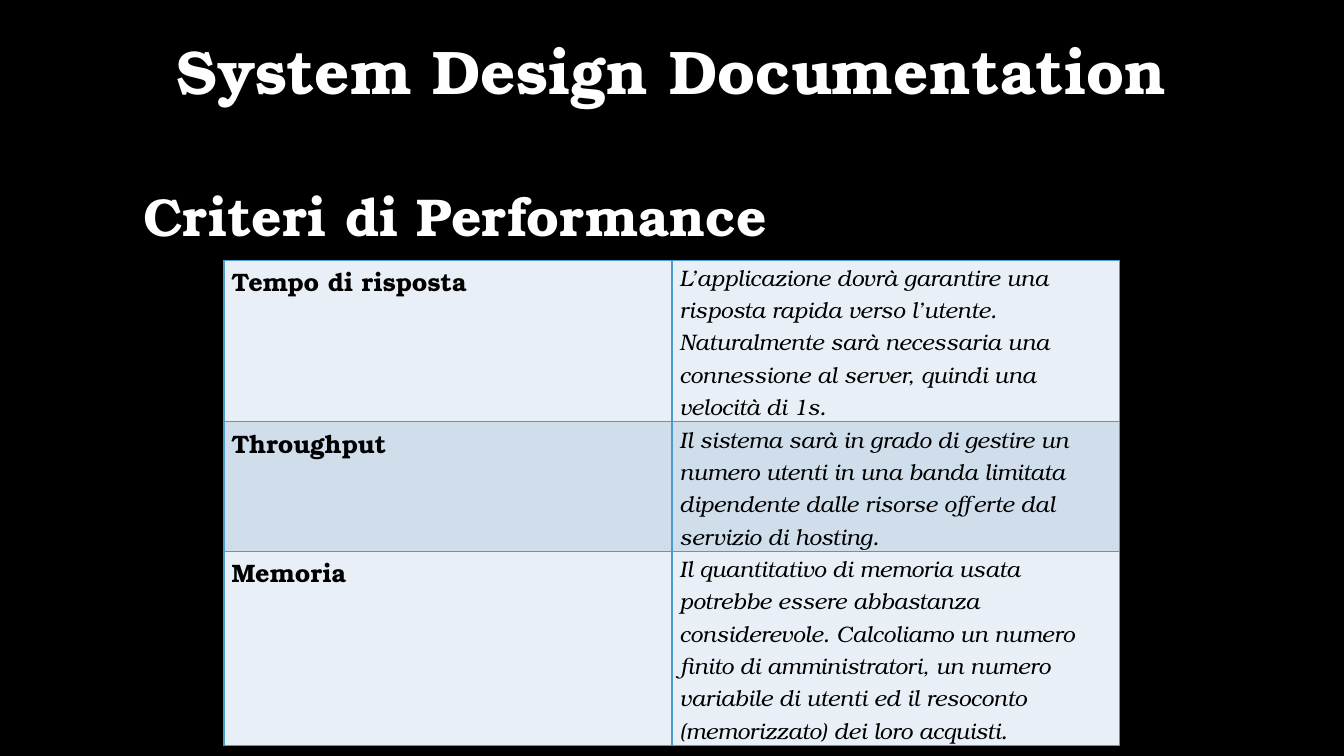
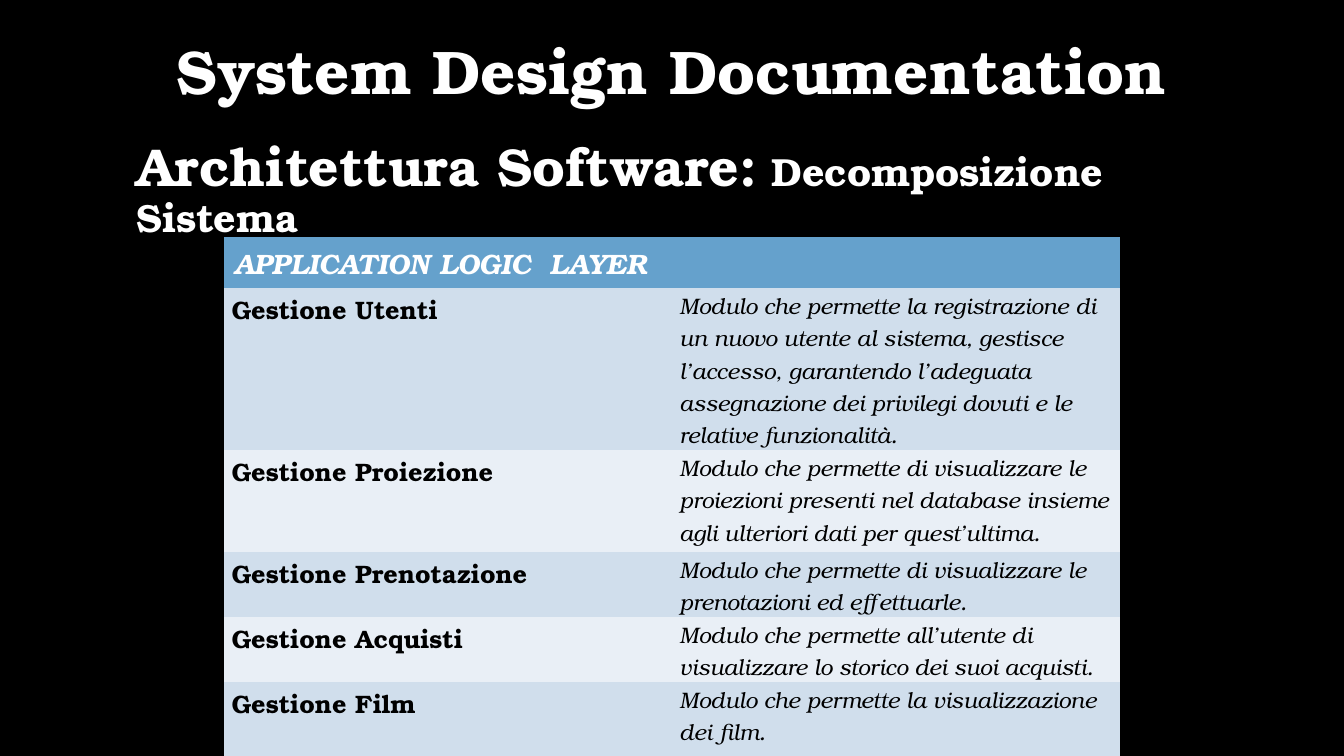
import pptx
import pptx.util
import pptx.dml.color
import pptx.enum.shapes
import pptx.enum.text
import pptx.oxml
import pptx.oxml.ns

Pt = pptx.util.Pt
RGBColor = pptx.dml.color.RGBColor
PP_ALIGN = pptx.enum.text.PP_ALIGN

BLACK = RGBColor(0x00, 0x00, 0x00)
WHITE = RGBColor(0xFF, 0xFF, 0xFF)
HEADER_BLUE = RGBColor(0x65, 0xA1, 0xCC)
BAND_FILLS = [RGBColor(0xE9, 0xEF, 0xF6), RGBColor(0xD0, 0xDE, 0xEC)]
BORDER_BLUE = RGBColor(0x4A, 0x9C, 0xCC)

FONT = "TeX Gyre Bonum"
PLAIN_TABLE_STYLE = "{2D5ABB26-0587-4C30-8999-92F81FD0307C}"
TABLE_LEFT = 160
COLUMN_WIDTH = 320

SLIDES = [
    {
        "heading": [("Criteri di Performance", 38)],
        "heading_box": (95.4, 132.5, 770, 383),
        "table_top": 185.8,
        "row_heights": [115.4, 92.5, 138.6],
        "bordered": True,
        "header": None,
        "rows": [
            ("Tempo di risposta", "L’applicazione dovrà garantire una risposta rapida verso l’utente. Naturalmente sarà necessaria una connessione al server, quindi una velocità di 1s."),
            ("Throughput", "Il sistema sarà in grado di gestire un numero utenti in una banda limitata dipendente dalle risorse offerte dal servizio di hosting."),
            ("Memoria", "Il quantitativo di memoria usata potrebbe essere abbastanza considerevole. Calcoliamo un numero finito di amministratori, un numero variabile di utenti ed il resoconto (memorizzato) dei loro acquisti."),
        ],
    },
    {
        "heading": [("Architettura Software:", 38), (" Decomposizione Sistema", 28)],
        "heading_box": (90.4, 97.2, 780, 435),
        "table_top": 169.2,
        "row_heights": [36.4, 115.7, 72.9, 46.4, 46.4, 53],
        "bordered": False,
        "header": "APPLICATION LOGIC  LAYER",
        "rows": [
            ("Gestione Utenti", "Modulo che permette la registrazione di un nuovo utente al sistema, gestisce l’accesso, garantendo l’adeguata assegnazione dei privilegi dovuti e le relative funzionalità."),
            ("Gestione Proiezione", "Modulo che permette di visualizzare le proiezioni presenti nel database insieme agli ulteriori dati per quest’ultima."),
            ("Gestione Prenotazione", "Modulo che permette di visualizzare le prenotazioni ed effettuarle."),
            ("Gestione Acquisti", "Modulo che permette all’utente di visualizzare lo storico dei suoi acquisti."),
            ("Gestione Film", "Modulo che permette la visualizzazione dei film."),
        ],
    },
]


def add_heading(slide, box, runs, alignment):
    shape = slide.shapes.add_shape(
        pptx.enum.shapes.MSO_SHAPE.RECTANGLE, *[Pt(length) for length in box]
    )
    shape.shadow.inherit = False
    shape.fill.solid()
    shape.fill.fore_color.rgb = BLACK
    shape.line.fill.background()
    shape.text_frame.word_wrap = True
    shape.text_frame.vertical_anchor = pptx.enum.text.MSO_ANCHOR.TOP
    paragraph = shape.text_frame.paragraphs[0]
    paragraph.alignment = alignment
    paragraph.line_spacing = 0.9
    paragraph.space_before = Pt(10)
    paragraph.font.name = FONT
    paragraph.font.bold = True
    paragraph.font.color.rgb = WHITE
    for text, size in runs:
        run = paragraph.add_run()
        run.text = text
        run.font.size = Pt(size)


def fill_cell(cell, text, size, color, fill, bold, italic):
    cell.fill.solid()
    cell.fill.fore_color.rgb = fill
    paragraph = cell.text_frame.paragraphs[0]
    paragraph.text = text
    paragraph.font.name = FONT
    paragraph.font.size = Pt(size)
    paragraph.font.color.rgb = color
    paragraph.font.bold = bold
    paragraph.font.italic = italic


presentation = pptx.Presentation()
presentation.slide_width = Pt(960)
presentation.slide_height = Pt(540)

for content in SLIDES:
    slide = presentation.slides.add_slide(presentation.slide_layouts[6])
    slide.background.fill.solid()
    slide.background.fill.fore_color.rgb = BLACK
    add_heading(slide, (0, 26, 960, 63), [("System Design Documentation", 44)], PP_ALIGN.CENTER)
    add_heading(slide, content["heading_box"], content["heading"], PP_ALIGN.LEFT)

    heights = content["row_heights"]
    frame = slide.shapes.add_table(
        len(heights), 2, Pt(TABLE_LEFT), Pt(content["table_top"]), Pt(2 * COLUMN_WIDTH), Pt(sum(heights))
    )
    table = frame.table
    table.first_row = content["header"] is not None
    table.horz_banding = False
    style = frame.element.find(".//" + pptx.oxml.ns.qn("a:tableStyleId"))
    style.text = PLAIN_TABLE_STYLE
    for column in table.columns:
        column.width = Pt(COLUMN_WIDTH)
    for row, height in zip(table.rows, heights):
        row.height = Pt(height)

    first_body_row = 0
    if content["header"]:
        first_body_row = 1
        for column_index, text in enumerate([content["header"], ""]):
            fill_cell(table.cell(0, column_index), text, 20, WHITE, HEADER_BLUE, True, True)

    for row_index, (label, description) in enumerate(content["rows"], first_body_row):
        fill = BAND_FILLS[row_index % 2]
        label_cell, description_cell = table.rows[row_index].cells
        fill_cell(label_cell, label, 18, BLACK, fill, True, False)
        fill_cell(description_cell, description, 16, BLACK, fill, False, True)
        for cell in (label_cell, description_cell):
            cell.margin_left = cell.margin_right = Pt(5.4)
            cell.margin_top = cell.margin_bottom = Pt(0)
            cell.text_frame.paragraphs[0].line_spacing = 1.07

    if content["bordered"]:
        for cell in table.iter_cells():
            properties = cell._tc.get_or_add_tcPr()
            for position, side in enumerate(["lnL", "lnR", "lnT", "lnB"]):
                border = pptx.oxml.parse_xml(
                    f'<a:{side} {pptx.oxml.ns.nsdecls("a")} w="{Pt(1)}"><a:solidFill>'
                    f'<a:srgbClr val="{BORDER_BLUE}"/></a:solidFill></a:{side}>'
                )
                properties.insert(position, border)

presentation.save("out.pptx")
